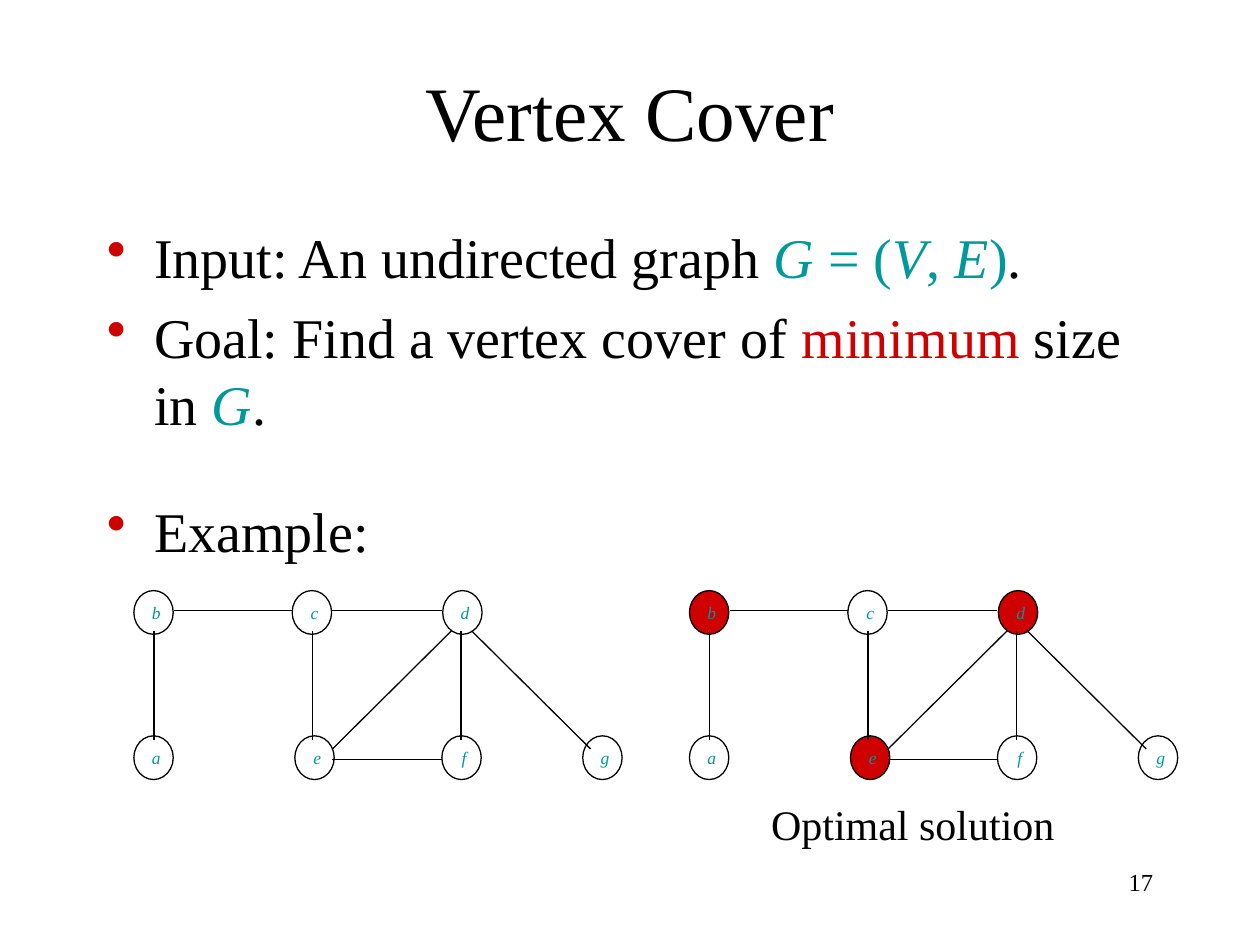
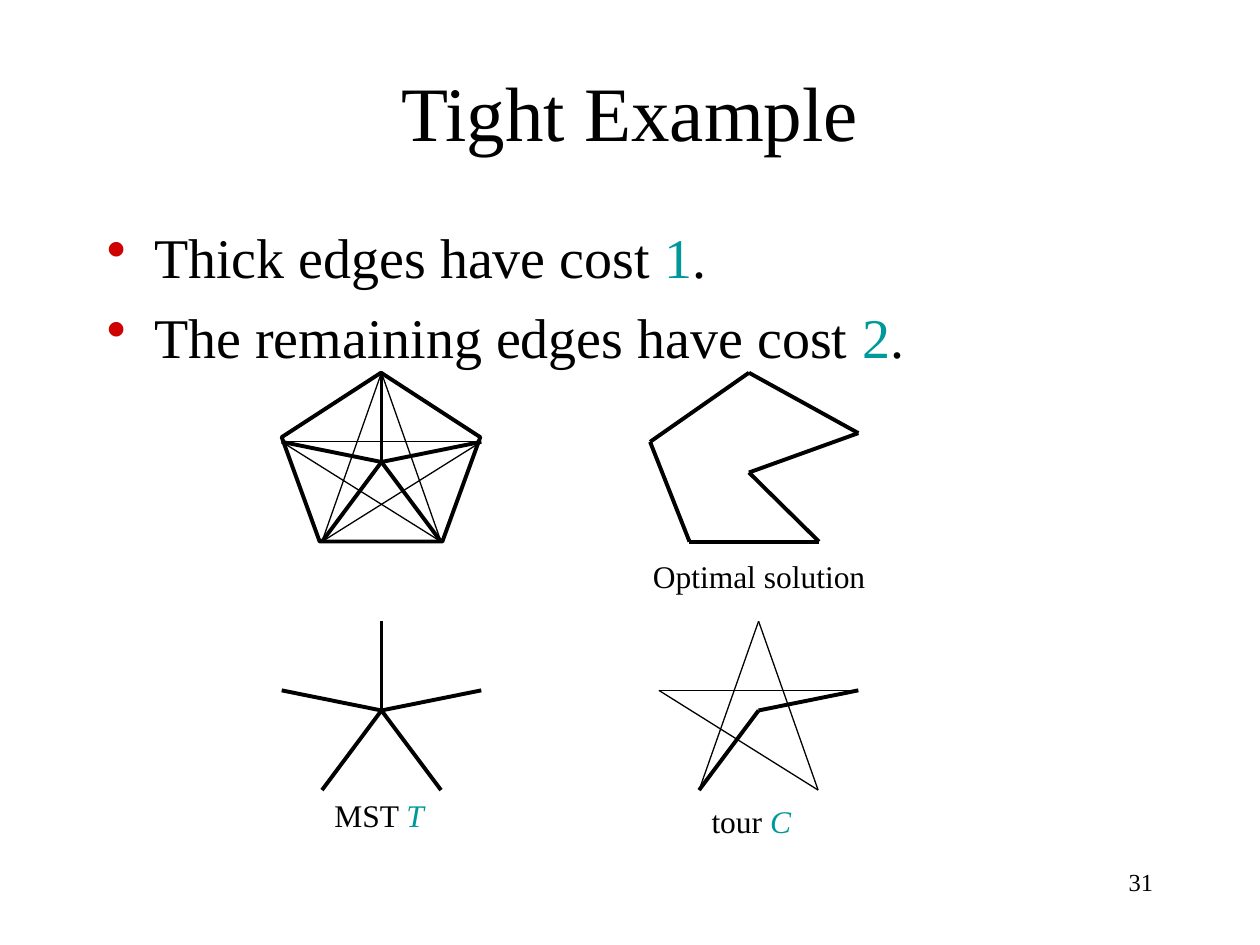
import itertools

import pptx
import pptx.dml.color
import pptx.enum.shapes
import pptx.enum.text
import pptx.oxml.ns
import pptx.util
from lxml import etree

Pt = pptx.util.Pt
RGBColor = pptx.dml.color.RGBColor
SHAPES = pptx.enum.shapes.MSO_SHAPE
ALIGN = pptx.enum.text.PP_ALIGN
ANCHOR = pptx.enum.text.MSO_ANCHOR
qn = pptx.oxml.ns.qn

BLACK = RGBColor(0x00, 0x00, 0x00)
WHITE = RGBColor(0xFF, 0xFF, 0xFF)
RED = RGBColor(0xCE, 0x00, 0x00)
TEAL = RGBColor(0x00, 0x99, 0x99)
FONT = "Times New Roman"
THIN, THICK = 0.75, 2.25

TITLE_BOX = (54, 18, 612, 90)
BODY_BOX = (54, 120, 612, 360)
NUMBER_BOX = (516, 492, 150, 36)

NODE_SIZE = (22.5, 25)
NODES = {
    "b": (0, 0), "c": (90.5, 0), "d": (176.5, 0),
    "a": (0, 83), "e": (92, 83), "f": (176, 83), "g": (256.5, 83),
}
GRAPH_EDGES = [
    ((23, 11.5), (90.5, 11.5)),
    ((11.5, 23), (11.5, 85.5)),
    ((113.5, 11.5), (176, 11.5)),
    ((102, 23), (102, 85.5)),
    ((187, 23), (187, 85.5)),
    ((113.5, 96.5), (176, 96.5)),
    ((181.5, 23), (113.5, 90.5)),
    ((193, 23), (261, 90.5)),
]

HUB = (0, 0)
TOP, LEFT, RIGHT = (0, -51), (-57, -11.5), (57, -11.5)
LOWER_LEFT, LOWER_RIGHT = (-34, 45.5), (34, 45.5)
SPOKES = [(HUB, tip) for tip in (TOP, LEFT, RIGHT, LOWER_LEFT, LOWER_RIGHT)]
STAR = list(itertools.pairwise([LEFT, RIGHT, LOWER_LEFT, TOP, LOWER_RIGHT, LEFT]))
TOUR_THIN = list(itertools.pairwise([RIGHT, LEFT, LOWER_RIGHT, TOP, LOWER_LEFT]))
TOUR_THICK = [(LOWER_LEFT, HUB), (HUB, RIGHT)]
CYCLE = [(56.5, 0), (0, 39.5), (22.5, 96.5), (96.5, 96.5), (56.5, 57), (119, 34.5)]


def points(values):
    """Turn plain numbers into lengths in points."""
    return [Pt(value) for value in values]


def write(frame, paragraphs, size=18, color=BLACK, italic=False, align=ALIGN.LEFT,
          anchor=ANCHOR.TOP, wrap=True, margins=(7.2, 3.6, 7.2, 3.6), gaps=(), bullet=False):
    """Fill a text frame; each paragraph is a list of text or (text, color, italic) runs."""
    frame.word_wrap = wrap
    frame.vertical_anchor = anchor
    frame.margin_left, frame.margin_top, frame.margin_right, frame.margin_bottom = points(margins)
    for index, runs in enumerate(paragraphs):
        paragraph = frame.add_paragraph() if index else frame.paragraphs[0]
        if bullet:
            add_bullet(paragraph)
        paragraph.alignment = align
        if index and gaps:
            paragraph.space_before = Pt(gaps[index - 1])
        for part in runs:
            text, run_color, run_italic = (part, color, italic) if isinstance(part, str) else part
            run = paragraph.add_run()
            run.text = text
            run.font.name = FONT
            run.font.size = Pt(size)
            run.font.italic = run_italic
            run.font.color.rgb = run_color


def add_bullet(paragraph):
    """Give a paragraph a hanging red bullet."""
    properties = paragraph._p.get_or_add_pPr()
    properties.set("marL", str(Pt(27)))
    properties.set("indent", str(-Pt(27)))
    bullet_color = etree.SubElement(properties, qn("a:buClr"))
    etree.SubElement(bullet_color, qn("a:srgbClr")).set("val", str(RED))
    etree.SubElement(properties, qn("a:buChar")).set("char", "•")


def add_text(slide, box, paragraphs, **text_format):
    """Add a text box at the given box."""
    write(slide.shapes.add_textbox(*points(box)).text_frame, paragraphs, **text_format)


def add_outlined(slide, kind, box, width, fill=None):
    """Add a preset shape with a black outline and an optional fill."""
    shape = slide.shapes.add_shape(kind, *points(box))
    shape.shadow.inherit = False
    if fill is None:
        shape.fill.background()
    else:
        shape.fill.solid()
        shape.fill.fore_color.rgb = fill
    shape.line.color.rgb = BLACK
    shape.line.width = Pt(width)
    return shape


def add_edges(slide, origin, edges, width):
    """Draw straight edges whose ends are relative to the origin."""
    x, y = origin
    for (x1, y1), (x2, y2) in edges:
        edge = slide.shapes.add_connector(
            pptx.enum.shapes.MSO_CONNECTOR.STRAIGHT, *points((x + x1, y + y1, x + x2, y + y2)))
        edge.line.color.rgb = BLACK
        edge.line.width = Pt(width)
        etree.SubElement(edge._element.spPr, qn("a:effectLst"))


def add_graph(slide, origin, cover=""):
    """Draw the example graph with the nodes of the cover in red."""
    x, y = origin
    for name, (dx, dy) in NODES.items():
        node = add_outlined(slide, SHAPES.OVAL, (x + dx, y + dy, *NODE_SIZE), THIN,
                            RED if name in cover else None)
        write(node.text_frame, [[name]], size=10, color=TEAL, italic=True, align=ALIGN.CENTER,
              anchor=ANCHOR.MIDDLE, wrap=False, margins=(3, 0, 0, 0))
    add_edges(slide, origin, GRAPH_EDGES, THIN)


def add_wheel(slide, hub):
    """Draw the pentagon with its thick spokes and thin star."""
    x, y = hub
    add_outlined(slide, SHAPES.REGULAR_PENTAGON, (x + LEFT[0], y + TOP[1], 113.5, 96.5), THICK)
    add_edges(slide, hub, SPOKES, THICK)
    add_edges(slide, hub, STAR, THIN)


def add_optimal_cycle(slide, origin):
    """Draw the closed optimal cycle with its caption."""
    x, y = origin
    add_edges(slide, origin, itertools.pairwise(CYCLE + CYCLE[:1]), THICK)
    add_text(slide, (x - 5.5, y + 101.5, 136, 29), [["Optimal solution"]], wrap=False)


def add_spanning_tree(slide, hub):
    """Draw the spokes as a spanning tree with its caption."""
    x, y = hub
    add_edges(slide, hub, SPOKES, THICK)
    add_text(slide, (x - 34, y + 45.5, 70.5, 29), [["MST ", ("T", TEAL, True)]], wrap=False)


def add_tour(slide, hub):
    """Draw the tour with its caption."""
    x, y = hub
    add_edges(slide, hub, TOUR_THICK, THICK)
    add_edges(slide, hub, TOUR_THIN, THIN)
    add_text(slide, (x - 34, y + 49, 60, 29), [["tour ", ("C", TEAL, True)]], wrap=False)


def add_page(presentation, title, number, bullets, gaps):
    """Add a slide with its title, bullets and page number."""
    slide = presentation.slides.add_slide(presentation.slide_layouts[5])
    slide.background.fill.solid()
    slide.background.fill.fore_color.rgb = WHITE
    heading = slide.shapes.title
    heading.left, heading.top, heading.width, heading.height = points(TITLE_BOX)
    write(heading.text_frame, [[title]], size=44, align=ALIGN.CENTER, anchor=ANCHOR.MIDDLE)
    add_text(slide, BODY_BOX, bullets, size=32, bullet=True, gaps=gaps,
             margins=(7.2, 7, 7.2, 3.6))
    add_text(slide, NUMBER_BOX, [[number]], size=14, align=ALIGN.RIGHT)
    return slide


def build_vertex_cover(presentation):
    """Build the vertex cover slide."""
    bullets = [
        ["Input: An undirected graph ", ("G", TEAL, True), (" = (", TEAL, False),
         ("V", TEAL, True), (", ", TEAL, False), ("E", TEAL, True), (")", TEAL, False), "."],
        ["Goal: Find a vertex cover of ", ("minimum", RED, False), " size in ",
         ("G", TEAL, True), "."],
        ["Example:"],
    ]
    slide = add_page(presentation, "Vertex Cover", "17", bullets, gaps=(7.5, 34))
    add_graph(slide, (76.5, 337.5))
    add_graph(slide, (394, 337.5), cover="bde")
    add_text(slide, (433.5, 453, 176.5, 36), [["Optimal solution"]], size=24, wrap=False)


def build_tight_example(presentation):
    """Build the tight example slide."""
    bullets = [
        ["Thick edges have cost ", ("1", TEAL, False), "."],
        ["The remaining edges have cost ", ("2", TEAL, False), "."],
    ]
    slide = add_page(presentation, "Tight Example", "31", bullets, gaps=(7.5,))
    add_wheel(slide, (218, 264))
    add_optimal_cycle(slide, (371.5, 213))
    add_spanning_tree(slide, (218, 406))
    add_tour(slide, (433.5, 406))


def main():
    """Build and save the presentation."""
    presentation = pptx.Presentation()
    presentation.slide_width, presentation.slide_height = Pt(720), Pt(540)
    build_vertex_cover(presentation)
    build_tight_example(presentation)
    presentation.save("out.pptx")


if __name__ == "__main__":
    main()
